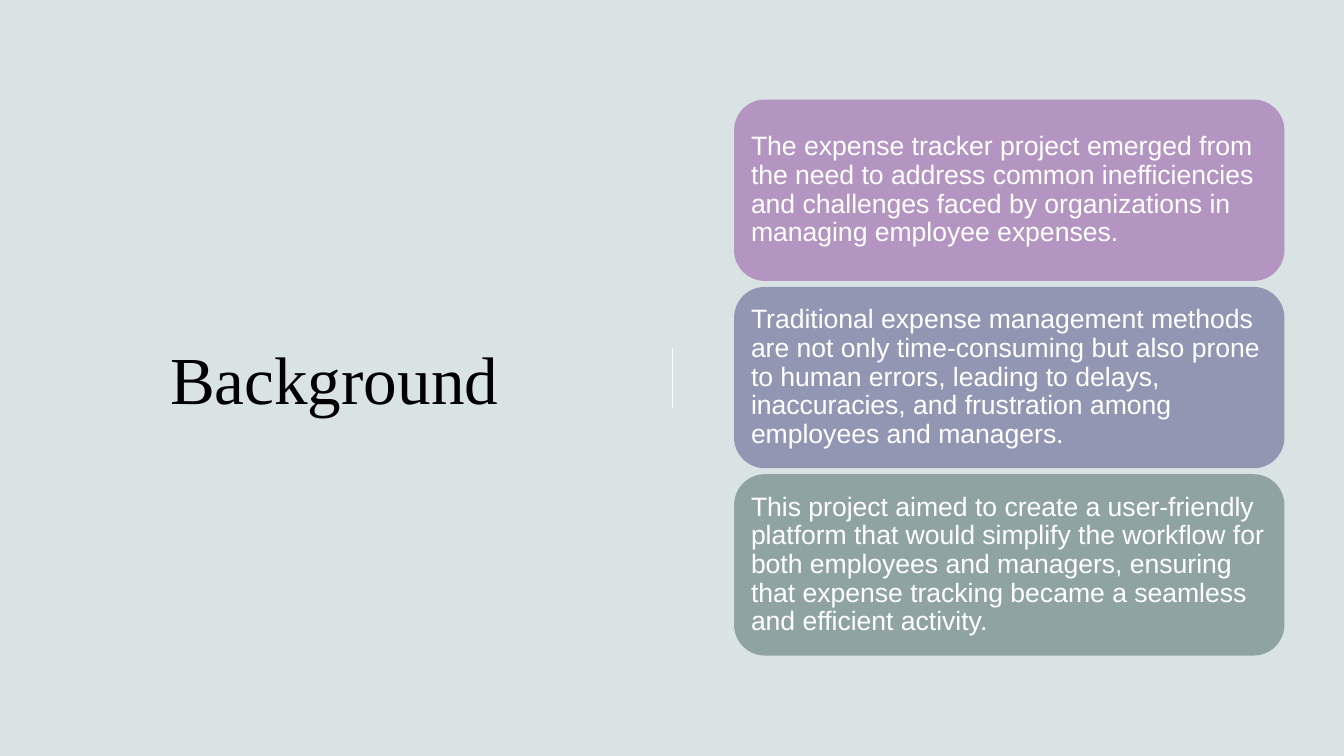
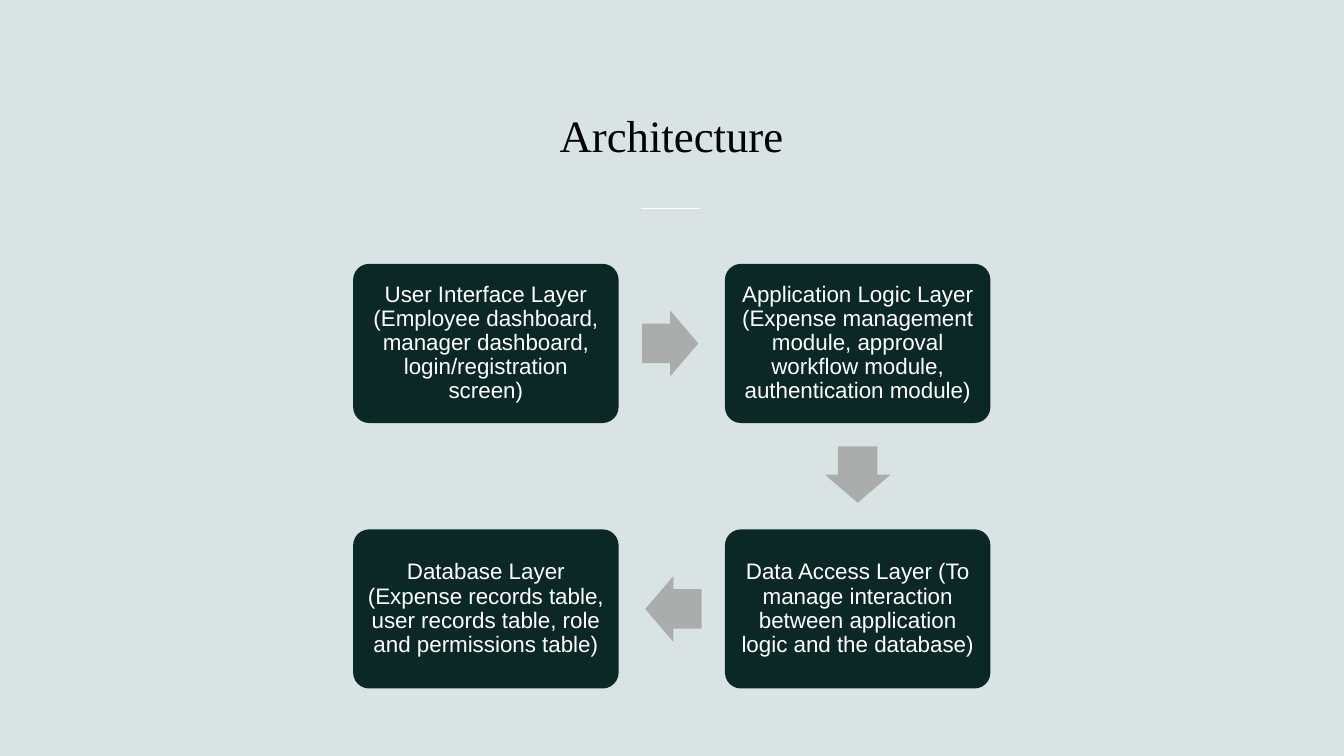
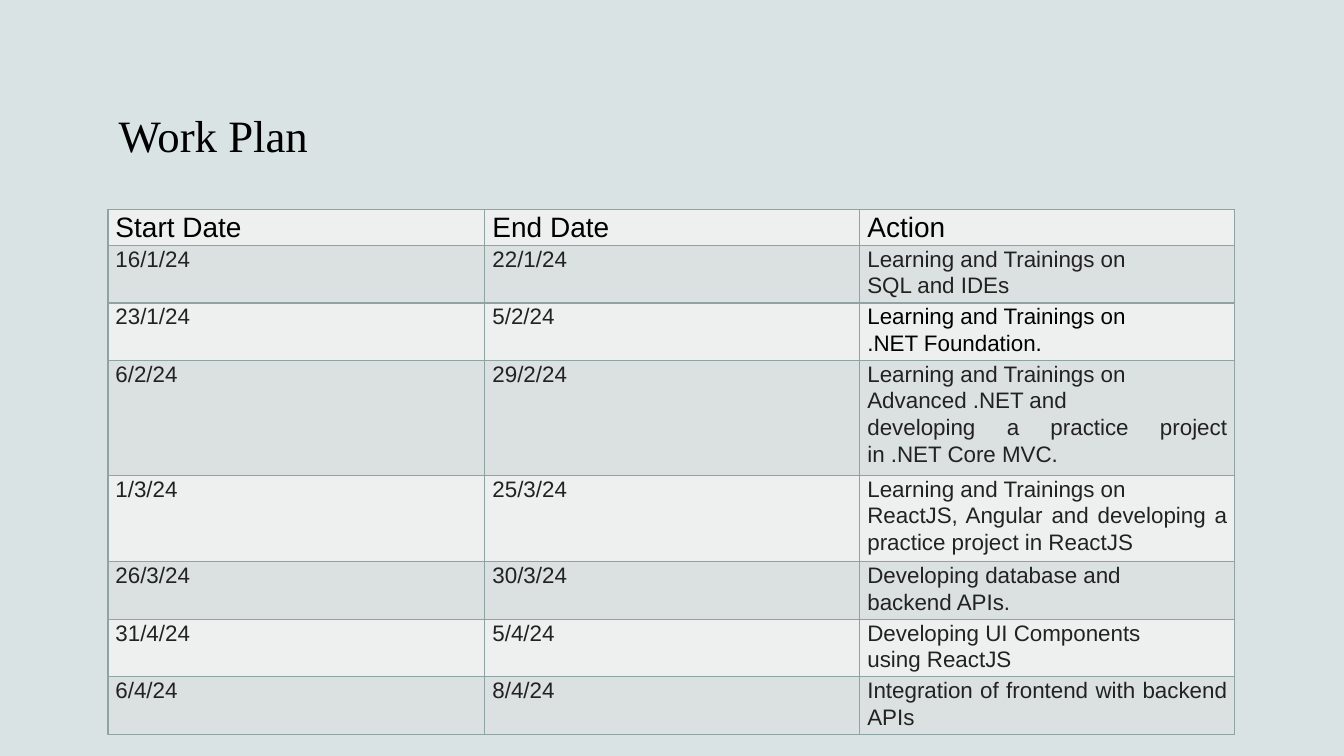
from dataclasses import dataclass

from lxml import etree
from pptx import Presentation
from pptx import util as u
from pptx.dml.color import RGBColor
from pptx.enum import shapes, text
from pptx.oxml import ns

Cm, Pt = u.Cm, u.Pt
MID, LOW = text.MSO_ANCHOR.MIDDLE, text.MSO_ANCHOR.BOTTOM
LEFT, MIDDLE, EVEN = text.PP_ALIGN.LEFT, text.PP_ALIGN.CENTER, text.PP_ALIGN.JUSTIFY
KIND = shapes.MSO_SHAPE


@dataclass(frozen=True)
class Theme:
    # colours
    back: str = "DAE3E3"
    black: str = "000000"
    white: str = "FFFFFF"
    grey: str = "222222"
    cards: tuple = ("B495C2", "9197B3", "8FA3A3")
    layer: str = "0B2827"
    arrow: str = "ABADAD"
    bands: tuple = ("EEF0F0", "DBE0E0")
    grid: str = "8FA3A3"
    # type
    serif: str = "Times New Roman"
    sans: str = "Arial"
    big: int = 48
    title: int = 32
    card: int = 19
    head: int = 20
    body: int = 16


T = Theme()

CARDS = (
    "The expense tracker project emerged from the need to address common "
    "inefficiencies and challenges faced by organizations in managing employee expenses.",
    "Traditional expense management methods are not only time-consuming but also prone "
    "to human errors, leading to delays, inaccuracies, and frustration among employees "
    "and managers.",
    "This project aimed to create a user-friendly platform that would simplify the "
    "workflow for both employees and managers, ensuring that expense tracking became a "
    "seamless and efficient activity.",
)

# column, row and text of each layer, in the order of flow
LAYERS = (
    (0, 0, "User Interface Layer (Employee dashboard, manager dashboard, "
           "login/registration screen)"),
    (1, 0, "Application Logic Layer (Expense management module, approval workflow "
           "module, authentication module)"),
    (1, 1, "Data Access Layer (To manage interaction between application logic and "
           "the database)"),
    (0, 1, "Database Layer (Expense records table, user records table, role and "
           "permissions table)"),
)

HEADS = ("Start Date", "End Date", "Action")
# start, end, action, lines of text, colour of the action
TASKS = (
    ("16/1/24", "22/1/24", "Learning and Trainings on\nSQL and IDEs", 2, T.grey),
    ("23/1/24", "5/2/24", "Learning and Trainings on\n.NET Foundation.", 2, T.black),
    ("6/2/24", "29/2/24", "Learning and Trainings on\nAdvanced .NET and\n"
     "developing a practice project in .NET Core MVC.", 4, T.grey),
    ("1/3/24", "25/3/24", "Learning and Trainings on\nReactJS, Angular and developing "
     "a practice project in ReactJS", 3, T.grey),
    ("26/3/24", "30/3/24", "Developing database and\nbackend APIs.", 2, T.grey),
    ("31/4/24", "5/4/24", "Developing UI Components\nusing ReactJS", 2, T.grey),
    ("6/4/24", "8/4/24", "Integration of frontend with backend APIs", 2, T.grey),
)


def rgb(tone):
    return RGBColor.from_string(tone)


def put(item, form):
    for key, val in form.items():
        setattr(item, key, val)


def write(frame, words, size, tone, face=T.sans, **form):
    """Fill a text frame, one paragraph for each line."""
    frame.text = words
    for para in frame.paragraphs:
        put(para, form)
        put(para.font, {"name": face, "size": Pt(size)})
        para.font.color.rgb = rgb(tone)


def title(slide, words, spot, size=T.title, anchor=LOW, align=MIDDLE):
    frame = slide.shapes.add_textbox(*map(Cm, spot)).text_frame
    put(frame, {"word_wrap": True, "vertical_anchor": anchor})
    write(frame, words, size, T.black, T.serif, alignment=align)


def rule(slide, *ends):
    line = slide.shapes.add_connector(shapes.MSO_CONNECTOR.STRAIGHT, *map(Cm, ends))
    line.line.color.rgb = rgb(T.white)
    line.line.width = Pt(1)
    etree.SubElement(line._element.spPr, ns.qn("a:effectLst"))


def block(slide, kind, spot, tone):
    shape = slide.shapes.add_shape(kind, *map(Cm, spot))
    shape.shadow.inherit = False
    shape.fill.solid()
    shape.fill.fore_color.rgb = rgb(tone)
    shape.line.fill.background()
    return shape


def panel(slide, words, spot, tone, size, inset, align, bend=0.17):
    """A rounded box with text."""
    shape = block(slide, KIND.ROUNDED_RECTANGLE, spot, tone)
    shape.adjustments[0] = bend
    frame = shape.text_frame
    put(frame, {"word_wrap": True, "vertical_anchor": MID})
    put(frame, {"margin_" + side: Cm(inset) for side in ("left", "top", "right", "bottom")})
    write(frame, words, size, T.white, alignment=align, line_spacing=0.9)


def arrow(slide, mid, turn):
    wide, high = 1.42, 1.66
    spot = (mid[0] - wide / 2, mid[1] - high / 2, wide, high)
    shape = block(slide, KIND.RIGHT_ARROW, spot, T.arrow)
    shape.adjustments[0], shape.adjustments[1] = 0.6, 0.5
    shape.rotation = turn


def cell(box, words, size, tone, fill):
    put(box, {"margin_left": Cm(0.19), "margin_right": Cm(0.19),
              "margin_top": 0, "margin_bottom": 0})
    write(box.text_frame, words, size, tone, alignment=EVEN, line_spacing=1.07)
    # borders go before the fill
    props = box._tc.get_or_add_tcPr()
    for side in "LRTB":
        edge = etree.SubElement(props, ns.qn("a:ln" + side), w=str(Pt(1)))
        paint = etree.SubElement(edge, ns.qn("a:solidFill"))
        etree.SubElement(paint, ns.qn("a:srgbClr"), val=T.grid)
    box.fill.solid()
    box.fill.fore_color.rgb = rgb(fill)


def cards(slide):
    title(slide, "Background", (3, 3, 10.85, 13.03), T.big, MID)
    rule(slide, 16.94, 8.76, 16.94, 10.29)
    for row, (words, tone) in enumerate(zip(CARDS, T.cards)):
        panel(slide, words, (18.5, 2.51 + 4.72 * row, 13.87, 4.57), tone, T.card, 0.2, LEFT)


def layers(slide):
    title(slide, "Architecture", (2.74, 1.09, 28.37, 3.1))
    rule(slide, 16.15, 5.26, 17.65, 5.26)
    wide, high, lag = 6.69, 4.01, 0.04
    mids = []
    for col, row, words in LAYERS:
        x, y = 8.9 + 9.37 * col, 6.65 + 6.69 * row
        panel(slide, words, (x, y, wide, high), T.layer, T.body, 0.18, MIDDLE, 0.1)
        mids.append((x + wide / 2, y + high / 2))
    # each arrow sits midway, a touch back along the flow
    steps = ((1, 0, 0), (0, 1, 90), (-1, 0, 180))
    for one, two, (dx, dy, turn) in zip(mids, mids[1:], steps):
        mid = ((one[0] + two[0]) / 2 - lag * dx, (one[1] + two[1]) / 2 - lag * dy)
        arrow(slide, mid, turn)


def plan(slide):
    title(slide, "Work Plan", (2.74, 1.09, 28.37, 3.1), align=LEFT)
    wides = (9.5, 9.45, 9.45)
    highs = [0.85] + [0.67 * task[3] for task in TASKS]
    grid = slide.shapes.add_table(len(highs), len(wides), Cm(2.72), Cm(5.28),
                                  Cm(sum(wides)), Cm(sum(highs))).table
    for col, wide in zip(grid.columns, wides):
        col.width = Cm(wide)
    for row, high in zip(grid.rows, highs):
        row.height = Cm(high)
    for col, words in enumerate(HEADS):
        cell(grid.cell(0, col), words, T.head, T.black, T.bands[0])
    for row, (start, end, act, _, tone) in enumerate(TASKS, 1):
        pairs = ((start, T.grey), (end, T.grey), (act, tone))
        for col, (words, ink) in enumerate(pairs):
            cell(grid.cell(row, col), words, T.body, ink, T.bands[row % 2])


def main():
    deck = Presentation()
    put(deck, {"slide_width": Cm(33.87), "slide_height": Cm(19.05)})
    # shared background
    fill = deck.slide_master.background.fill
    fill.solid()
    fill.fore_color.rgb = rgb(T.back)
    for draw in (cards, layers, plan):
        draw(deck.slides.add_slide(deck.slide_layouts[6]))
    deck.save("out.pptx")


if __name__ == "__main__":
    main()
